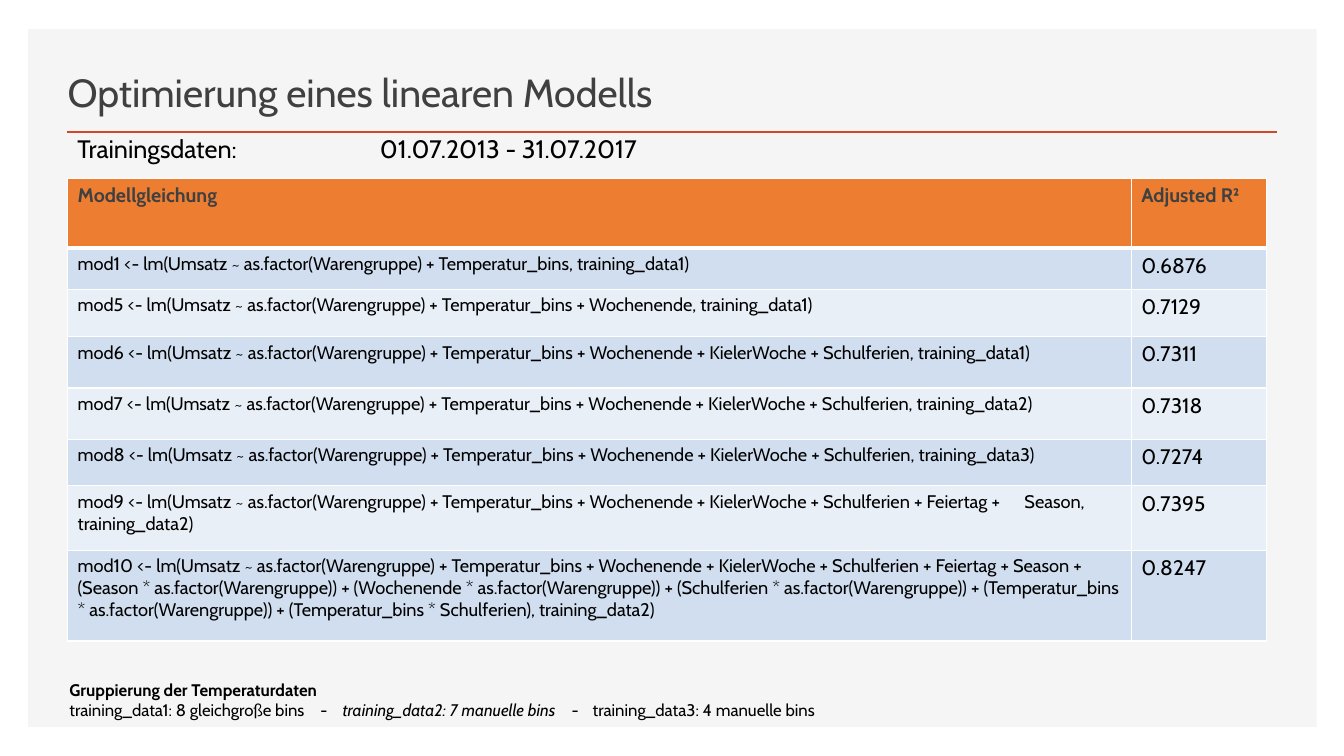
"""Build the slide on tuning a linear model."""
from dataclasses import dataclass

from lxml.etree import SubElement as Sub
from pptx import Presentation
from pptx.dml.color import RGBColor as RGB
from pptx.enum.shapes import MSO_CONNECTOR as Conn, MSO_SHAPE as Shape
from pptx.enum.text import MSO_ANCHOR as Anchor, MSO_AUTO_SIZE as Auto, PP_ALIGN as Align
from pptx.oxml.ns import qn
from pptx.util import Inches, Pt

TITLE = "Optimierung eines linearen Modells"
PERIOD = "Trainingsdaten:\t01.07.2013 - 31.07.2017"
HEAD = ("Modellgleichung", "Adjusted R²")
BASE = "lm(Umsatz ~ as.factor(Warengruppe) + Temperatur_bins"
WEEK = BASE + " + Wochenende"
FULL = WEEK + " + KielerWoche + Schulferien"
CROSS = (
    " + Feiertag + Season + (Season * as.factor(Warengruppe))"
    " + (Wochenende * as.factor(Warengruppe))"
    " + (Schulferien * as.factor(Warengruppe))"
    " + (Temperatur_bins * as.factor(Warengruppe))"
    " + (Temperatur_bins * Schulferien)"
)
MODELS = [
    ("mod1", BASE, "training_data1", "0.6876"),
    ("mod5", WEEK, "training_data1", "0.7129"),
    ("mod6", FULL, "training_data1", "0.7311"),
    ("mod7", FULL, "training_data2", "0.7318"),
    ("mod8", FULL, "training_data3", "0.7274"),
    ("mod9", FULL + " + Feiertag +\tSeason", "training_data2", "0.7395"),
    ("mod10", FULL + CROSS, "training_data2", "0.8247"),
]
GROUPS = "Gruppierung der Temperaturdaten"
BINS = [
    ("training_data1: 8 gleichgroße bins\t-\t", False),
    ("training_data2: 7 manuelle bins", True),
    ("\t-\ttraining_data3: 4 manuelle bins", False),
]
COLS = (10.55, 1.34)
ROWS = (0.69, 0.41, 0.47, 0.51, 0.51, 0.46, 0.64, 0.9)
LEFT = 0.67


@dataclass(frozen=True)
class Theme:
    """Colours, sizes and font of the slide."""
    font: str = "Cabin"
    panel: str = "F5F5F5"
    rule: str = "D24726"
    dark: str = "404040"
    ink: str = "000000"
    head: str = "ED7D31"
    bands: tuple = ("D1DEEF", "E9EFF7")
    edge: str = "FFFFFF"
    title: int = 28
    lead: int = 18
    label: int = 14
    model: int = 13
    score: int = 15
    note: int = 12
    thin: float = 0.96
    thick: float = 3


T = Theme()


def style(para, size, color, bold=False, tabs=()):
    """Set tab stops and font of a paragraph."""
    if tabs:
        stops = Sub(para._p.get_or_add_pPr(), qn("a:tabLst"))
        for stop in tabs:
            Sub(stops, qn("a:tab"), pos=str(Inches(stop)), algn="l")
    font = para.font
    font.name, font.size, font.bold = T.font, Pt(size), bold
    font.color.rgb = RGB.from_string(color)


def border(cell, top, bottom):
    """Draw the four edges of a cell."""
    props = cell._tc.get_or_add_tcPr()
    for side, width in zip("LRTB", (T.thin, T.thin, top, bottom)):
        line = Sub(props, qn(f"a:ln{side}"), w=str(Pt(width)))
        Sub(Sub(line, qn("a:solidFill")), qn("a:srgbClr"), val=T.edge)


def box(slide, *area):
    """Add a wrapping text box."""
    frame = slide.shapes.add_textbox(*map(Inches, area)).text_frame
    frame.word_wrap = True
    return frame


def frame(slide):
    """Add the panel, the rule and the title."""
    panel = slide.shapes.add_shape(Shape.RECTANGLE, *map(Inches, (0.28, 0.29, 12.78, 6.92)))
    panel.shadow.inherit = False
    panel.fill.solid()
    panel.fill.fore_color.rgb = RGB.from_string(T.panel)
    panel.line.fill.background()
    rule = slide.shapes.add_connector(Conn.STRAIGHT, *map(Inches, (0.66, 1.31, 12.67, 1.31)))
    rule.line.color.rgb = RGB.from_string(T.rule)
    rule.line.width = Pt(2)
    Sub(rule._element.spPr, qn("a:effectLst"))
    title = slide.shapes.title
    title.element.getparent().append(title.element)
    title.left, title.top, title.width, title.height = map(Inches, (0.57, 0.49, 8.95, 0.7))
    text = title.text_frame
    text.text, text.auto_size, text.vertical_anchor = TITLE, Auto.NONE, Anchor.BOTTOM
    para = text.paragraphs[0]
    para.alignment, para.space_after = Align.LEFT, Pt(6)
    style(para, T.title, T.dark)


def grid(slide):
    """Add the table of models."""
    rows = [HEAD] + [(f"{name} <- {terms}, {data})", score) for name, terms, data, score in MODELS]
    area = map(Inches, (LEFT, 1.77, sum(COLS), sum(ROWS)))
    table = slide.shapes.add_table(len(rows), len(COLS), *area).table
    for col, width in zip(table.columns, COLS):
        col.width = Inches(width)
    for r, (row, high) in enumerate(zip(rows, ROWS)):
        table.rows[r].height = Inches(high)
        for c, text in enumerate(row):
            cell = table.cell(r, c)
            cell.text = text
            border(cell, T.thick if r == 1 else T.thin, T.thin if r else T.thick)
            cell.fill.solid()
            cell.fill.fore_color.rgb = RGB.from_string(T.bands[(r - 1) % 2] if r else T.head)
            size = (T.model, T.score)[c] if r else T.label
            tabs = (9.39,) if "\t" in text else ()
            style(cell.text_frame.paragraphs[0], size, T.ink if r else T.dark, not r, tabs)


def notes(slide):
    """Add the training period and the bin groups."""
    lead = box(slide, LEFT, 1.27, 7.83, 0.4)
    lead.text = PERIOD
    style(lead.paragraphs[0], T.lead, T.ink, tabs=(3,))
    foot = box(slide, 0.59, 6.69, 11.81, 0.54)
    foot.text = GROUPS
    style(foot.paragraphs[0], T.note, T.ink, True)
    para = foot.add_paragraph()
    style(para, T.note, T.ink, tabs=(2.49, 2.71, 4.98, 5.19))
    for text, slant in BINS:
        run = para.add_run()
        run.text, run.font.italic = text, slant


def main():
    """Build and save the slide."""
    deck = Presentation()
    deck.slide_width, deck.slide_height = Inches(13.33), Inches(7.5)
    slide = deck.slides.add_slide(deck.slide_layouts[5])
    frame(slide)
    grid(slide)
    notes(slide)
    deck.save("out.pptx")


if __name__ == "__main__":
    main()
